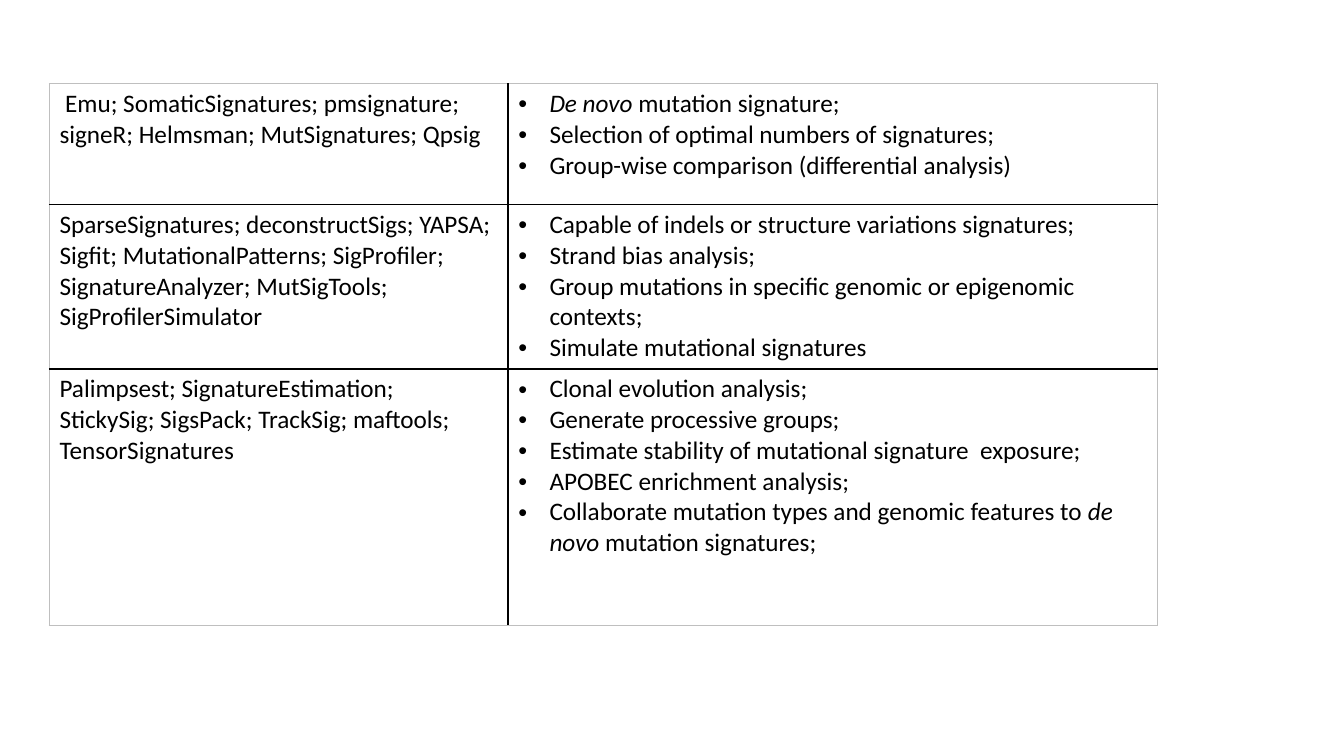
from lxml.etree import SubElement
from pptx import Presentation
from pptx.dml.color import RGBColor
from pptx.oxml.ns import qn
from pptx.util import Inches, Pt

BLACK = RGBColor(0x00, 0x00, 0x00)
GREY = RGBColor(0xBF, 0xBF, 0xBF)
OUTER, ROW_RULE, COLUMN_RULE = (GREY, 0.75), (BLACK, 1), (BLACK, 1.5)

COL_WIDTHS = [4.55, 6.44]
ROW_HEIGHTS = [1.2, 1.63, 2.55]
# Asterisks enclose italic words.
ROWS = [
    (
        [" Emu; SomaticSignatures; pmsignature; signeR; Helmsman; MutSignatures; Qpsig"],
        [
            "*De novo *mutation signature;",
            "Selection of optimal numbers of signatures;",
            "Group-wise comparison (differential analysis)",
        ],
    ),
    (
        ["SparseSignatures; deconstructSigs; YAPSA; Sigfit; MutationalPatterns; "
         "SigProfiler; SignatureAnalyzer; MutSigTools; SigProfilerSimulator"],
        [
            "Capable of indels or structure variations signatures;",
            "Strand bias analysis;",
            "Group mutations in specific genomic or epigenomic contexts;",
            "Simulate mutational signatures",
        ],
    ),
    (
        [
            "Palimpsest; SignatureEstimation;",
            "StickySig; SigsPack; TrackSig; maftools; TensorSignatures",
        ],
        [
            "Clonal evolution analysis;",
            "Generate processive groups;",
            "Estimate stability of mutational signature  exposure;",
            "APOBEC enrichment analysis;",
            "Collaborate mutation types and genomic features to *de novo *mutation signatures;",
        ],
    ),
]


def write_text(tf, lines, size=18, font="Calibri", color=BLACK, bullet=False):
    for i, line in enumerate(lines):
        p = tf.paragraphs[0] if i == 0 else tf.add_paragraph()
        if bullet:
            pPr = p._p.get_or_add_pPr()
            pPr.set("marL", str(Inches(0.31)))
            pPr.set("indent", str(-Inches(0.31)))
            SubElement(pPr, qn("a:buFont"), typeface="Arial")
            SubElement(pPr, qn("a:buChar"), char="•")
        for j, part in enumerate(line.split("*")):
            if part:
                r = p.add_run()
                r.text = part
                r.font.size = Pt(size)
                r.font.name = font
                r.font.color.rgb = color
                r.font.italic = j % 2 == 1


def set_borders(cell, **sides):
    """Sides must come in the order L, R, T, B, each a (colour, points) pair."""
    tcPr = cell._tc.get_or_add_tcPr()
    for side, (color, width) in sides.items():
        ln = SubElement(tcPr, qn(f"a:ln{side}"), w=str(Pt(width)))
        fill = SubElement(ln, qn("a:solidFill"))
        SubElement(fill, qn("a:srgbClr"), val=str(color))


def add_tools_table(s, left, top, width, height):
    n_rows, n_cols = len(ROWS), len(COL_WIDTHS)
    table = s.shapes.add_table(n_rows, n_cols, Inches(left), Inches(top),
                               Inches(width), Inches(height)).table
    table.first_row = table.horz_banding = False
    for column, share in zip(table.columns, COL_WIDTHS):
        column.width = Inches(width * share / sum(COL_WIDTHS))
    for row, share in zip(table.rows, ROW_HEIGHTS):
        row.height = Inches(height * share / sum(ROW_HEIGHTS))
    for i, row in enumerate(ROWS):
        for j, lines in enumerate(row):
            cell = table.cell(i, j)
            set_borders(
                cell,
                L=COLUMN_RULE if j else OUTER,
                R=COLUMN_RULE if j < n_cols - 1 else OUTER,
                T=ROW_RULE if i else OUTER,
                B=ROW_RULE if i < n_rows - 1 else OUTER,
            )
            cell.fill.background()
            write_text(cell.text_frame, lines, bullet=j == 1)


def main():
    prs = Presentation()
    prs.slide_width, prs.slide_height = Inches(13.33), Inches(7.5)
    s = prs.slides.add_slide(prs.slide_layouts[6])
    add_tools_table(s, 0.49, 0.83, 10.99, 5.38)
    prs.save("out.pptx")


if __name__ == "__main__":
    main()
